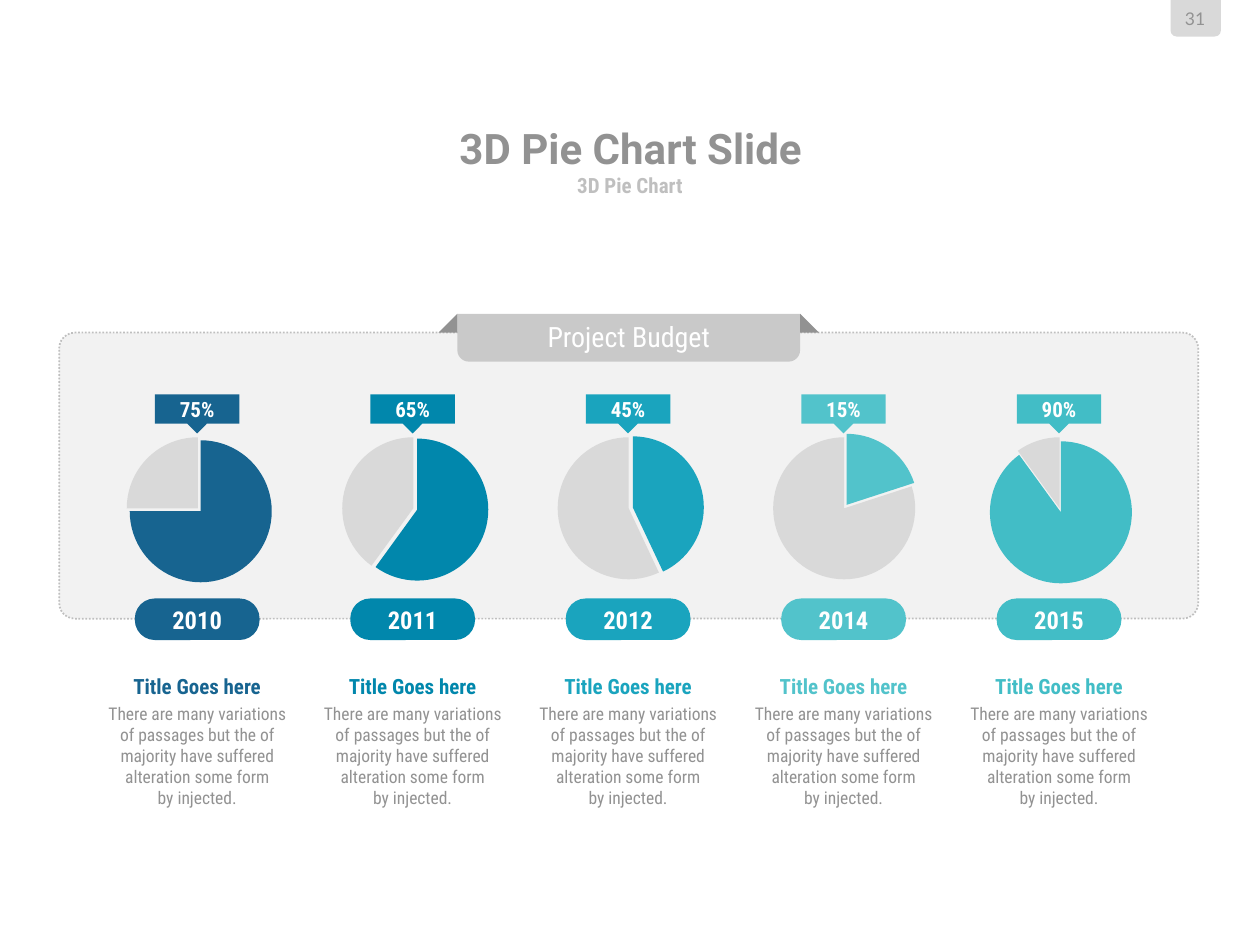
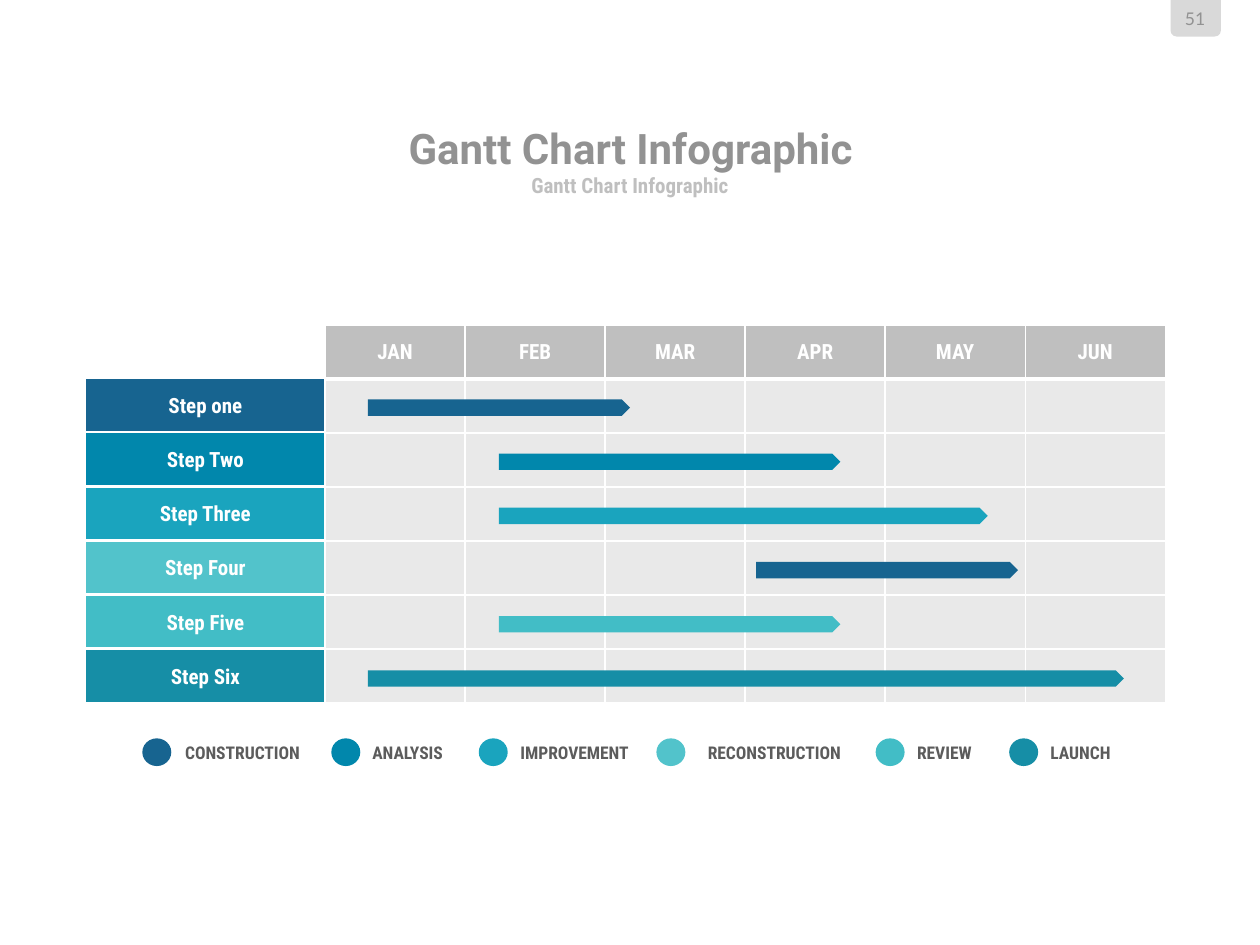
import copy
from dataclasses import dataclass

import lxml.etree
import pptx
import pptx.chart.data
import pptx.dml.color
import pptx.enum.chart
import pptx.enum.dml
import pptx.enum.shapes
import pptx.enum.text
import pptx.oxml
import pptx.oxml.ns
import pptx.util

Inches = pptx.util.Inches
Pt = pptx.util.Pt
qn = pptx.oxml.ns.qn
SHAPE = pptx.enum.shapes.MSO_SHAPE
ANCHOR = pptx.enum.text.MSO_ANCHOR

# Content
BUDGET = {
    "number": "31",
    "title": "3D Pie Chart Slide",
    "subtitle": "3D Pie Chart",
    "ribbon": "Project Budget",
    "heading": "Title Goes here",
    "body": "There are many variations of passages but the of majority "
            "have suffered alteration some form\nby injected.",
    # year, callout, pie share
    "years": [("2010", "75%", 75), ("2011", "65%", 60), ("2012", "45%", 43),
              ("2014", "15%", 20), ("2015", "90%", 90)],
}
GANTT = {
    "number": "51",
    "title": "Gantt Chart Infographic",
    "subtitle": "Gantt Chart Infographic",
    "months": ["JAN", "FEB", "MAR", "APR", "MAY", "JUN"],
    # step, bar left, bar width, index of the bar colour
    "steps": [("Step one", 2.92, 2.08, 0), ("Step Two", 3.96, 2.71, 1),
              ("Step Three", 3.96, 3.88, 2), ("Step Four", 6, 2.08, 0),
              ("Step Five", 3.96, 2.71, 4), ("Step Six", 2.92, 6, 5)],
    # label, dot left, label left, label width
    "legend": [("CONSTRUCTION", 1.13, 1.36, 1.13), ("ANALYSIS", 2.63, 2.88, 0.71),
               ("IMPROVEMENT", 3.8, 4.04, 1.04), ("RECONSTRUCTION", 5.21, 5.48, 1.33),
               ("REVIEW", 6.95, 7.22, 0.55), ("LAUNCH", 8.01, 8.28, 0.59)],
}


@dataclass(frozen=True)
class Theme:
    accents: tuple = ("176490", "0187AC", "1AA4BE", "52C3CB", "42BDC6", "168EA6")
    white: str = "FFFFFF"
    panel: str = "F2F2F2"
    cell: str = "E9E9E9"
    pale: str = "D9D9D9"
    ribbon: str = "C9C9C9"
    silver: str = "BFBFBF"
    gray: str = "929292"
    dark: str = "5C5C5C"
    chart_text: str = "262626"
    title_font: str = "Roboto"
    body_font: str = "Roboto Condensed"
    number_font: str = "Lato"
    title: int = 24
    chart: int = 18
    ribbon_size: int = 16
    year: int = 14
    label: int = 12
    small: int = 10


THEME = Theme()


def rgb(color):
    return pptx.dml.color.RGBColor.from_string(color)


# Text and shape helpers
def write(para, text, size, color, bold=True, font=THEME.body_font):
    para.text = text
    para.alignment = pptx.enum.text.PP_ALIGN.CENTER
    for span in para.runs:
        span.font.size = Pt(size)
        span.font.bold = bold
        span.font.name = font
        span.font.color.rgb = rgb(color)
    for line_break in para._p.findall(qn("a:br")):
        line_break.append(copy.deepcopy(para.runs[0]._r.rPr))


def add_box(page, kind, at, fill, line=None, width=1, adjust=()):
    box = page.shapes.add_shape(kind, *map(Inches, at))
    box.shadow.inherit = False
    box.fill.solid()
    box.fill.fore_color.rgb = rgb(fill)
    if line:
        box.line.color.rgb = rgb(line)
        box.line.width = Pt(width)
    else:
        box.line.fill.background()
    for index, value in enumerate(adjust):
        box.adjustments[index] = value
    return box


def label_box(box, text, size, bold=True):
    box.text_frame.vertical_anchor = ANCHOR.MIDDLE
    write(box.text_frame.paragraphs[0], text, size, THEME.white, bold)


def add_label(page, at, text, size, color, anchor=ANCHOR.MIDDLE, **style):
    frame = page.shapes.add_textbox(*map(Inches, at)).text_frame
    frame.margin_left = frame.margin_right = frame.margin_top = frame.margin_bottom = 0
    frame.word_wrap = False
    frame.vertical_anchor = anchor
    write(frame.paragraphs[0], text, size, color, **style)


def start_page(deck, content):
    page = deck.slides.add_slide(deck.slide_layouts[6])
    add_box(page, SHAPE.ROUND_2_SAME_RECTANGLE, (9.29, 0, 0.4, 0.29), THEME.pale,
            adjust=(0, 0.17))
    add_label(page, (9.32, 0.06, 0.33, 0.17), content["number"], THEME.small,
              THEME.gray, bold=False, font=THEME.number_font)
    add_label(page, (1.92, 0.98, 6.17, 0.39), content["title"], THEME.title,
              THEME.gray, font=THEME.title_font)
    add_label(page, (2.75, 1.36, 4.5, 0.22), content["subtitle"], THEME.label,
              THEME.silver)
    return page


# Pie with its coloured slice pulled out
def add_pie(page, at, share, color):
    data = pptx.chart.data.CategoryChartData()
    data.categories = ["1", "2"]
    data.add_series("Series 1", (share, 100 - share))
    chart = page.shapes.add_chart(pptx.enum.chart.XL_CHART_TYPE.PIE,
                                  *map(Inches, at), data).chart
    chart.has_legend = False
    chart.has_title = False
    chart.font.name = THEME.body_font
    chart.font.size = Pt(THEME.chart)
    chart.font.color.rgb = rgb(THEME.chart_text)
    plot = chart.plots[0]
    plot.vary_by_categories = False
    for index, fill in enumerate((color, THEME.pale)):
        look = plot.series[0].points[index].format
        look.fill.solid()
        look.fill.fore_color.rgb = rgb(fill)
        look.line.fill.background()

    slice_xml = chart._chartSpace.xpath(".//c:dPt")[0]
    explosion = lxml.etree.Element(qn("c:explosion"), val="6")
    slice_xml.find(qn("c:spPr")).addprevious(explosion)

    area = chart._chartSpace.xpath(".//c:plotArea")[0]
    for old in area.findall(qn("c:layout")):
        area.remove(old)
    layout = lxml.etree.Element(qn("c:layout"))
    manual = lxml.etree.SubElement(layout, qn("c:manualLayout"))
    for tag, value in (("layoutTarget", "inner"), ("xMode", "edge"), ("yMode", "edge"),
                       ("x", "0.1"), ("y", "0.1"), ("w", "0.8"), ("h", "0.8")):
        lxml.etree.SubElement(manual, qn("c:" + tag), val=value)
    area.insert(0, layout)


def build_budget(deck):
    page = start_page(deck, BUDGET)

    # Panel and ribbon
    panel = add_box(page, SHAPE.ROUNDED_RECTANGLE, (0.47, 2.64, 9.04, 2.27),
                    THEME.panel, THEME.silver, adjust=(0.055,))
    panel.line.dash_style = pptx.enum.dml.MSO_LINE.ROUND_DOT
    ribbon = add_box(page, SHAPE.ROUND_2_SAME_RECTANGLE, (3.63, 2.49, 2.72, 0.38),
                     THEME.ribbon, adjust=(0, 0.24))
    label_box(ribbon, BUDGET["ribbon"], THEME.ribbon_size, bold=False)
    for left, turn in ((3.48, 270), (6.35, 0)):
        fold = add_box(page, SHAPE.RIGHT_TRIANGLE, (left, 2.49, 0.15, 0.15), THEME.gray)
        fold.rotation = turn

    # One column per year
    for index, (year, percent, share) in enumerate(BUDGET["years"]):
        left = 0.71 + 1.71 * index
        color = THEME.accents[index]
        pill = add_box(page, SHAPE.ROUNDED_RECTANGLE, (left + 0.36, 4.75, 0.99, 0.33),
                       color, adjust=(0.48,))
        label_box(pill, year, THEME.year)
        add_pie(page, (left, 3.33, 1.72, 1.41), share, color)
        callout = add_box(page, SHAPE.DOWN_ARROW_CALLOUT,
                          (left + 0.52, 3.13, 0.67, 0.31), color,
                          adjust=(0.5, 0.25, 0.25, 0.75))
        label_box(callout, percent, THEME.label)

        box = page.shapes.add_textbox(*map(Inches, (left + 0.01, 5.3, 1.69, 1.18)))
        frame = box.text_frame
        frame.word_wrap = True
        write(frame.paragraphs[0], BUDGET["heading"], THEME.label, color)
        para = frame.add_paragraph()
        write(para, BUDGET["body"], THEME.small, THEME.gray, bold=False)
        para.space_before = Pt(2)


# Month grid
def set_borders(cell, top, bottom):
    props = cell._tc.get_or_add_tcPr()
    for index, (side, width) in enumerate((("L", 1), ("R", 1), ("T", top), ("B", bottom))):
        line = lxml.etree.Element(qn("a:ln" + side), w=str(Pt(width)))
        fill = lxml.etree.SubElement(line, qn("a:solidFill"))
        lxml.etree.SubElement(fill, qn("a:srgbClr"), val=THEME.white)
        props.insert(index, line)


def add_month_grid(page, months, step_count):
    rows = step_count + 1
    table = page.shapes.add_table(rows, len(months), Inches(2.58), Inches(2.58),
                                  Inches(6.67), Inches(3)).table
    table.first_row = False
    table.horz_banding = False
    for row in table.rows:
        row.height = Inches(3 / rows)
    for row in range(rows):
        for column, month in enumerate(months):
            cell = table.cell(row, column)
            cell.fill.solid()
            cell.fill.fore_color.rgb = rgb(THEME.cell if row else THEME.silver)
            set_borders(cell, 3 if row == 1 else 1, 1 if row else 3)
            if row == 0:
                cell.vertical_anchor = ANCHOR.MIDDLE
                write(cell.text_frame.paragraphs[0], month, THEME.label, THEME.white)


def build_gantt(deck):
    page = start_page(deck, GANTT)
    steps = GANTT["steps"]
    pitch = 0.43

    # Step names, grid, then bars on top
    for index, (name, *_) in enumerate(steps):
        step = add_box(page, SHAPE.RECTANGLE, (0.67, 3 + pitch * index, 1.92, pitch),
                       THEME.accents[index], THEME.white, 1.5)
        label_box(step, name, THEME.label)
    add_month_grid(page, GANTT["months"], len(steps))
    for index, (_, left, width, accent) in enumerate(steps):
        add_box(page, SHAPE.RIGHT_ARROW, (left, 3.17 + pitch * index, width, 0.13),
                THEME.accents[accent], adjust=(1, 0.5))

    # Legend
    for color, (text, dot_left, left, width) in zip(THEME.accents, GANTT["legend"]):
        add_label(page, (left, 5.89, width, 0.17), text, THEME.small, THEME.dark,
                  anchor=ANCHOR.TOP)
        add_box(page, SHAPE.OVAL, (dot_left, 5.86, 0.23, 0.22), color)


def main():
    deck = pptx.Presentation()
    deck.slide_width = Inches(10)
    deck.slide_height = Inches(7.5)
    build_budget(deck)
    build_gantt(deck)
    deck.save("out.pptx")


if __name__ == "__main__":
    main()
